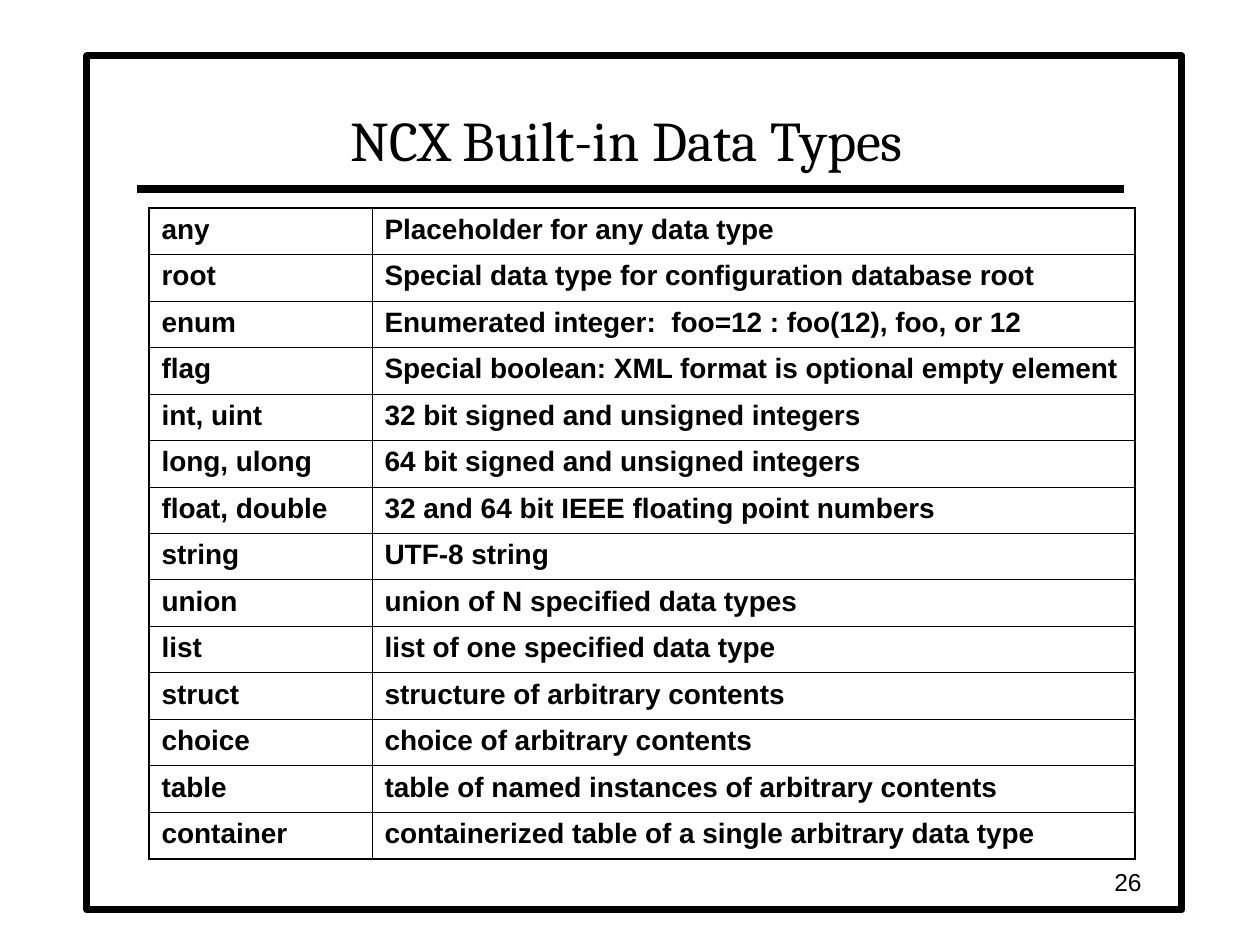
import pptx
import pptx.util
import pptx.dml.color
import pptx.enum.shapes
import pptx.enum.text
import pptx.oxml.ns
from lxml import etree

PX_PER_INCH = 126
COLORS = {"ink": "000000", "paper": "FFFFFF"}
ALIGN = pptx.enum.text.PP_ALIGN
ANCHOR = pptx.enum.text.MSO_ANCHOR
OUTER_PT, INNER_PT = 1.08, 0.45

TITLE_FONT = {"name": "Cambria", "size": pptx.util.Pt(32)}
CELL_FONT = {"name": "Arial", "size": pptx.util.Pt(16), "bold": True}
NUMBER_FONT = {"name": "Arial", "size": pptx.util.Pt(14)}

DATA_TYPES = [
    ("any", "Placeholder for any data type"),
    ("root", "Special data type for configuration database root"),
    ("enum", "Enumerated integer:  foo=12 : foo(12), foo, or 12"),
    ("flag", "Special boolean: XML format is optional empty element"),
    ("int, uint", "32 bit signed and unsigned integers"),
    ("long, ulong", "64 bit signed and unsigned integers"),
    ("float, double", "32 and 64 bit IEEE floating point numbers"),
    ("string", "UTF-8 string"),
    ("union", "union of N specified data types"),
    ("list", "list of one specified data type"),
    ("struct", "structure of arbitrary contents"),
    ("choice", "choice of arbitrary contents"),
    ("table", "table of named instances of arbitrary contents"),
    ("container", "containerized table of a single arbitrary data type"),
]


def px(n):
    return pptx.util.Emu(round(n * 914400 / PX_PER_INCH))


def color(name):
    return pptx.dml.color.RGBColor.from_string(COLORS[name])


def set_fill(fill, name):
    fill.solid()
    fill.fore_color.rgb = color(name)


def set_line(line, width):
    line.color.rgb = color("ink")
    line.width = pptx.util.Pt(width)


def write(tf, text, font, align=ALIGN.LEFT):
    p = tf.paragraphs[0]
    p.alignment = align
    r = p.add_run()
    r.text = text
    for key, value in font.items():
        setattr(r.font, key, value)
    r.font.color.rgb = color("ink")


def add_frame(s, x, y, w, h):
    rect = pptx.enum.shapes.MSO_SHAPE.RECTANGLE
    sp = s.shapes.add_shape(rect, px(x), px(y), px(w), px(h))
    sp.shadow.inherit = False
    set_fill(sp.fill, "paper")
    set_line(sp.line, 4)


def add_rule(s, x1, x2, y):
    straight = pptx.enum.shapes.MSO_CONNECTOR.STRAIGHT
    sp = s.shapes.add_connector(straight, px(x1), px(y), px(x2), px(y))
    set_line(sp.line, 4.5)
    etree.SubElement(sp._element.spPr, pptx.oxml.ns.qn("a:effectLst"))


def add_text(s, x, y, w, h, text, font, align, anchor):
    tf = s.shapes.add_textbox(px(x), px(y), px(w), px(h)).text_frame
    tf.word_wrap = True
    tf.vertical_anchor = anchor
    write(tf, text, font, align)


def set_borders(cell, outer_sides):
    """Draw all four sides, heavier where the cell meets the table edge."""
    qn = pptx.oxml.ns.qn
    tc_pr = cell._tc.get_or_add_tcPr()
    for i, side in enumerate(("L", "R", "T", "B")):
        width = OUTER_PT if side in outer_sides else INNER_PT
        ln = etree.Element(qn(f"a:ln{side}"), w=str(pptx.util.Pt(width)))
        solid = etree.SubElement(ln, qn("a:solidFill"))
        etree.SubElement(solid, qn("a:srgbClr"), val=COLORS["ink"])
        tc_pr.insert(i, ln)


def add_type_table(s, x, y, col_widths, height, rows):
    n_rows, n_cols = len(rows), len(col_widths)
    table = s.shapes.add_table(n_rows, n_cols, px(x), px(y),
                               px(sum(col_widths)), px(height)).table
    table.first_row = table.horz_banding = False
    for column, width in zip(table.columns, col_widths):
        column.width = px(width)
    for i, row in enumerate(rows):
        table.rows[i].height = px(height / n_rows)
        for j, text in enumerate(row):
            cell = table.cell(i, j)
            write(cell.text_frame, text, CELL_FONT)
            cell.fill.background()
            edges = {"L": j == 0, "R": j == n_cols - 1,
                     "T": i == 0, "B": i == n_rows - 1}
            set_borders(cell, [side for side, outer in edges.items() if outer])


def main():
    prs = pptx.Presentation()
    prs.slide_width, prs.slide_height = px(1260), px(945)
    s = prs.slides.add_slide(prs.slide_layouts[6])

    # Frame and title
    add_frame(s, 87, 56, 1095, 854)
    add_rule(s, 137, 1124, 189)
    add_text(s, 136, 63, 982, 116, "NCX Built-in Data Types",
             TITLE_FONT, ALIGN.CENTER, ANCHOR.BOTTOM)

    # Data types
    add_type_table(s, 149, 208, (223, 763), 651, DATA_TYPES)

    # Slide number
    add_text(s, 892, 861, 262, 42, "26",
             NUMBER_FONT, ALIGN.RIGHT, ANCHOR.MIDDLE)

    prs.save("out.pptx")


if __name__ == "__main__":
    main()
